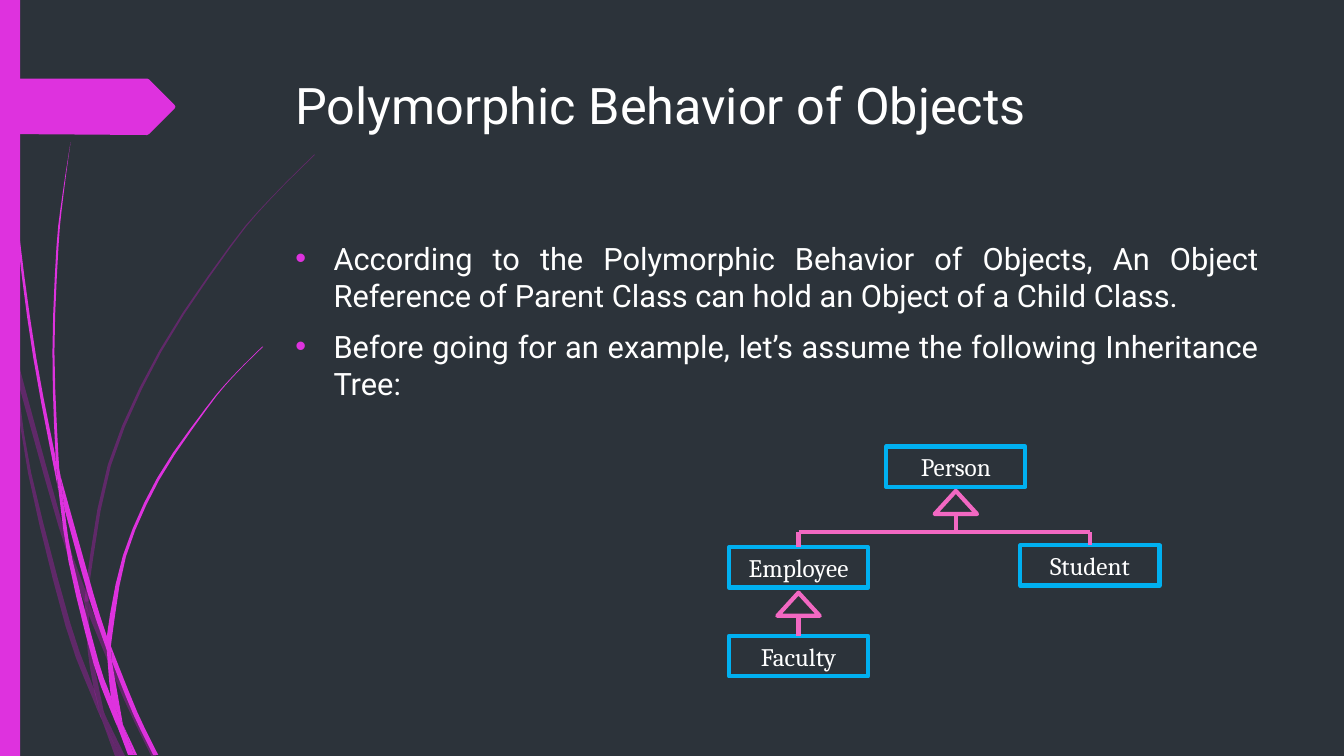
from dataclasses import dataclass

import lxml.etree
import pptx
import pptx.dml.color
import pptx.enum.dml
import pptx.enum.shapes
import pptx.enum.text
import pptx.oxml
import pptx.oxml.ns
import pptx.util

Inches, Pt = pptx.util.Inches, pptx.util.Pt
ALIGN, ANCHOR = pptx.enum.text.PP_ALIGN, pptx.enum.text.MSO_ANCHOR
SHAPE = pptx.enum.shapes.MSO_SHAPE
Point = tuple[float, float]

COLOURS = {"back": "2C333A", "accent": "DE32DE", "dim": "B01CB0",
           "text": "FFFFFF", "box": "00B0F0", "link": "F268C2"}


@dataclass
class Wisp:
    """A piece of a curved strand, given by its two long edges."""
    down: list[Point]
    back: list[Point]


@dataclass
class Box:
    name: str
    left: float
    top: float


@dataclass
class Link:
    start: Point
    end: Point
    child: str = ""


DIM_WISPS = [
    Wisp([(.17, 3.76), (.58, 5.22), (.84, 5.99)], [(.85, 5.86), (.62, 5.2), (.14, 3.45)]),
    Wisp([(.88, 6.1), (1.23, 6.94), (1.5, 7.5)],
         [(1.55, 7.5), (1.27, 6.92), (.92, 6.07), (.88, 5.96)]),
    Wisp([(1.19, 7.5)], [(1.24, 7.5), (1.05, 7.11)]),
    Wisp([(.11, 3.5), (.28, 4.7), (.65, 6.21), (.92, 6.93), (1.01, 7.14)],
         [(.99, 7.07), (.93, 6.83), (.7, 6.19), (.31, 4.69), (.17, 3.76)]),
    Wisp([(.84, 5.99), (.87, 6.46), (.93, 6.83), (.96, 6.92), (1.05, 7.11)],
         [(1.03, 7.06), (.91, 6.46), (.88, 6.08)]),
    Wisp([(.88, 5.84), (1.1, 4.62), (1.6, 3.49), (2.29, 2.45), (2.68, 1.98), (3.12, 1.54)],
         [(3.12, 1.53), (2.68, 1.97), (2.28, 2.44), (1.58, 3.48), (1.07, 4.61),
          (.85, 5.84), (.88, 5.96)]),
    Wisp([(1.01, 7.14), (1.14, 7.5)], [(1.19, 7.5)]),
    Wisp([(.85, 5.86), (.84, 5.99), (.88, 6.08)], [(.88, 6.1), (.88, 5.96)]),
    Wisp([(.93, 6.83), (.99, 7.07), (1.01, 7.14), (1.19, 7.5)], [(1.05, 7.11), (.96, 6.92)]),
]
BRIGHT_WISPS = [
    Wisp([(.03, 0), (.07, 1.1), (.17, 2.33), (.33, 3.55), (.56, 4.77), (.57, 4.81)],
         [(.55, 4.53), (.36, 3.55), (.19, 2.32), (.08, 1.09), (.04, 0)]),
    Wisp([(.64, 5.05), (.88, 5.92), (1.06, 6.45)], [(1.06, 6.31), (.93, 5.9), (.6, 4.72)]),
    Wisp([(1.11, 6.56), (1.32, 7.08), (1.52, 7.49)], [(1.57, 7.49), (1.36, 7.06), (1.1, 6.41)]),
    Wisp([(.57, 4.77), (.68, 5.57), (.93, 6.59), (1.11, 7.08), (1.17, 7.22)],
         [(1.16, 7.17), (1.1, 6.91), (.98, 6.57), (.72, 5.56), (.64, 5.05)]),
    Wisp([(.6, 4.72), (.58, 4.53), (.54, 3.49), (.58, 2.45), (.63, 1.93), (.7, 1.41)],
         [(.7, 1.41), (.62, 1.93), (.56, 2.45), (.52, 3.49), (.55, 4.49), (.6, 4.72)]),
    Wisp([(1.22, 7.19), (1.33, 7.49)], [(1.36, 7.49)]),
    Wisp([(.55, 4.49), (.57, 4.77), (.64, 5.05)], [(.6, 4.72)]),
    Wisp([(1.11, 6.33), (1.25, 5.52), (1.58, 4.76), (2.05, 4.06), (2.31, 3.74), (2.61, 3.44)],
         [(2.6, 3.44), (2.31, 3.73), (2.04, 4.05), (1.56, 4.74), (1.22, 5.51),
          (1.06, 6.31), (1.1, 6.41)]),
    Wisp([(1.17, 7.22), (1.27, 7.49)], [(1.31, 7.49)]),
    Wisp([(1.06, 6.45), (1.1, 6.91), (1.16, 7.06), (1.22, 7.19)], [(1.11, 6.56)]),
    Wisp([(1.06, 6.31), (1.06, 6.45), (1.11, 6.56)], [(1.1, 6.41)]),
    Wisp([(1.1, 6.91), (1.17, 7.22), (1.3, 7.49)], [(1.33, 7.49), (1.22, 7.19), (1.16, 7.06)]),
]
TAG = [(0, .78), (1.46, .78), (1.48, .79), (1.73, 1.04), (1.74, 1.06),
       (1.73, 1.08), (1.48, 1.33), (1.46, 1.34), (0, 1.33)]

BOX_W, BOX_H = 1.38, .4
BOXES = [Box("Person", 8.79, 4.43), Box("Faculty", 7.23, 6.31),
         Box("Student", 10.12, 5.41), Box("Employee", 7.23, 5.43)]
ARROWS = [(9.27, 4.87), (7.71, 5.88)]
LINKS = [Link((9.48, 5.1), (9.48, 5.28)), Link((7.92, 5.28), (10.81, 5.28)),
         Link((7.92, 6.13), (7.92, 6.31), "Faculty"),
         Link((7.92, 5.28), (7.92, 5.43), "Employee"),
         Link((10.81, 5.28), (10.81, 5.41), "Student")]
BULLETS = ["According to the Polymorphic Behavior of Objects, An Object Reference "
           "of Parent Class can hold an Object of a Child Class.",
           "Before going for an example, let’s assume the following Inheritance Tree:"]


def rgb(name: str) -> pptx.dml.color.RGBColor:
    return pptx.dml.color.RGBColor.from_string(COLOURS[name])


def paint(sp, fill: str = "", line: str = "", alpha: int = 100) -> None:
    sp.shadow.inherit = False
    if fill:
        sp.fill.solid()
        sp.fill.fore_color.rgb = rgb(fill)
        if alpha < 100:
            clr = sp._element.spPr.find(".//" + pptx.oxml.ns.qn("a:srgbClr"))
            lxml.etree.SubElement(clr, pptx.oxml.ns.qn("a:alpha"), val=str(alpha * 1000))
    else:
        sp.fill.background()
    if line:
        sp.line.color.rgb = rgb(line)
        sp.line.width = Pt(3)
    else:
        sp.line.fill.background()


def smooth(pts: list[Point], steps: int = 3) -> list[Point]:
    """Catmull-Rom curve through the points."""
    if len(pts) < 3:
        return pts
    out = [pts[0]]
    padded = [pts[0], *pts, pts[-1]]
    for a, b, c, d in zip(padded, padded[1:], padded[2:], padded[3:]):
        for t in (i / steps for i in range(1, steps + 1)):
            out.append(tuple(
                q + t * (r - p) / 2 + t * t * (2 * p - 5 * q + 4 * r - s) / 2
                + t ** 3 * (3 * q - p - 3 * r + s) / 2
                for p, q, r, s in zip(a, b, c, d)))
    return out


def add_outline(shapes, pts: list[Point], fill: str, alpha: int = 100) -> None:
    start, *rest = [(Inches(x), Inches(y)) for x, y in pts]
    fb = shapes.build_freeform(*start)
    fb.add_line_segments(rest, close=True)
    paint(fb.convert_to_shape(), fill, alpha=alpha)


def write(p, text: str, *, size: float, font: str, align=ALIGN.LEFT,
          bullet: bool = False) -> None:
    p.alignment = align
    r = p.add_run()
    r.text = text
    r.font.size, r.font.name = Pt(size), font
    r.font.color.rgb = rgb("text")
    if bullet:
        p.space_before = Pt(10)
        pPr = p._p.get_or_add_pPr()
        pPr.set("marL", str(Inches(.38)))
        pPr.set("indent", str(-Inches(.38)))
        ns = pptx.oxml.ns.nsdecls("a")
        for xml in (f'<a:buClr {ns}><a:srgbClr val="{COLOURS["accent"]}"/></a:buClr>',
                    f'<a:buFont {ns} typeface="Arial"/>', f'<a:buChar {ns} char="•"/>'):
            pPr.append(pptx.oxml.parse_xml(xml))


def add_text_frame(shapes, left: float, top: float, width: float, height: float):
    tf = shapes.add_textbox(*map(Inches, (left, top, width, height))).text_frame
    tf.word_wrap = True
    return tf


def add_box(shapes, box: Box):
    sp = shapes.add_shape(SHAPE.RECTANGLE, *map(Inches, (box.left, box.top, BOX_W, BOX_H)))
    paint(sp, line="box")
    sp.text_frame.vertical_anchor = ANCHOR.MIDDLE
    write(sp.text_frame.paragraphs[0], box.name, size=18, font="Cambria", align=ALIGN.CENTER)
    return sp


def add_link(shapes, link: Link, boxes: dict) -> None:
    cn = shapes.add_connector(pptx.enum.shapes.MSO_CONNECTOR.STRAIGHT,
                              *map(Inches, link.start + link.end))
    if link.child:
        cn.end_connect(boxes[link.child], 0)
    cn.line.color.rgb = rgb("link")
    cn.line.width = Pt(3)
    lxml.etree.SubElement(cn._element.spPr, pptx.oxml.ns.qn("a:effectLst"))


def main() -> None:
    prs = pptx.Presentation()
    prs.slide_width, prs.slide_height = Inches(13.33), Inches(7.5)
    s = prs.slides.add_slide(prs.slide_layouts[6])
    s.background.fill.solid()
    s.background.fill.fore_color.rgb = rgb("back")

    # Strands, side bar and tag
    for wisps, fill, alpha in ((DIM_WISPS, "dim", 40), (BRIGHT_WISPS, "accent", 100)):
        for wisp in wisps:
            add_outline(s.shapes, smooth(wisp.down) + smooth(wisp.back), fill, alpha)
    bar = s.shapes.add_shape(SHAPE.RECTANGLE, 0, 0, Inches(.2), prs.slide_height)
    paint(bar, "accent")
    add_outline(s.shapes, TAG, "accent")

    # Title and bullets
    tf = add_text_frame(s.shapes, 2.83, .69, 9.75, 1.4)
    write(tf.paragraphs[0], "Polymorphic Behavior of Objects", size=36, font="Roboto")
    tf = add_text_frame(s.shapes, 2.83, 2.33, 9.75, 4.13)
    for i, text in enumerate(BULLETS):
        p = tf.add_paragraph() if i else tf.paragraphs[0]
        write(p, text, size=22, font="Roboto", align=ALIGN.JUSTIFY, bullet=True)

    # Inheritance tree
    boxes = {box.name: add_box(s.shapes, box) for box in BOXES}
    for left, top in ARROWS:
        paint(s.shapes.add_shape(SHAPE.ISOSCELES_TRIANGLE,
                                 *map(Inches, (left, top, .42, .23))), line="link")
    for link in LINKS:
        add_link(s.shapes, link, boxes)

    prs.save("out.pptx")


if __name__ == "__main__":
    main()
